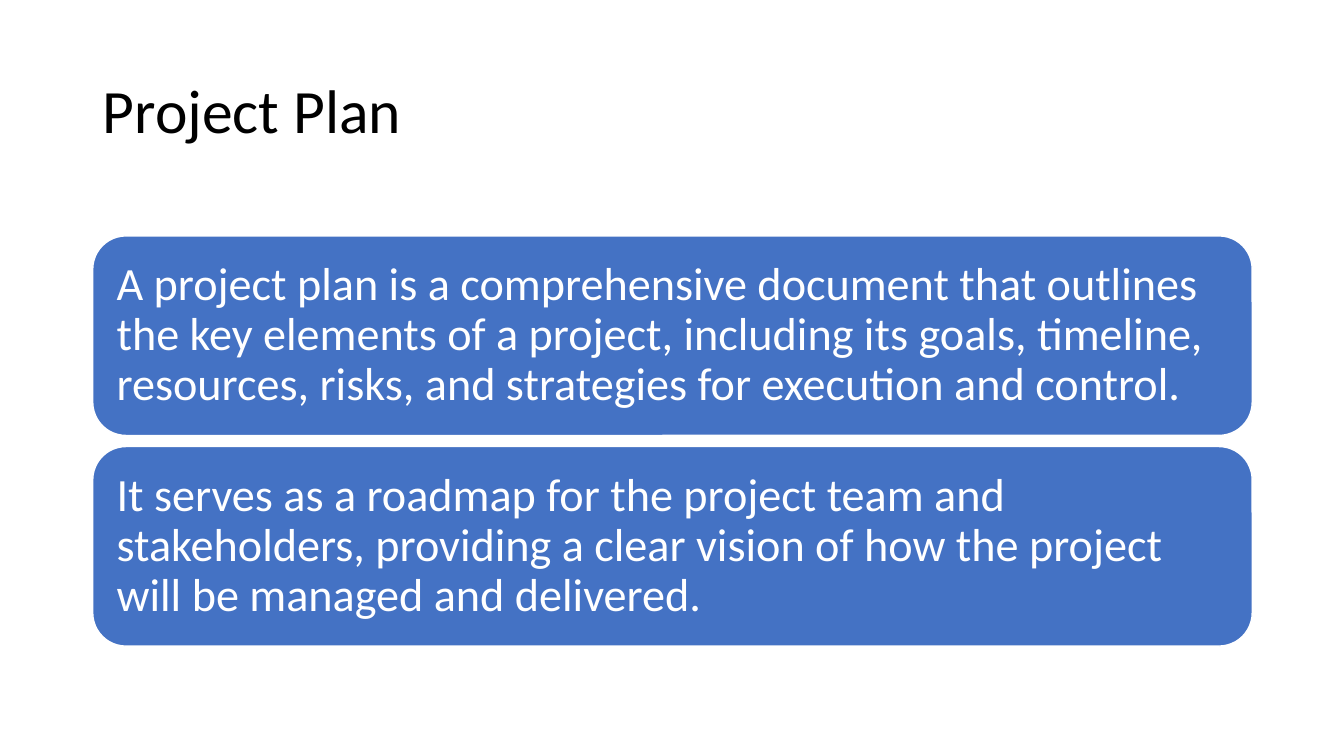
from pptx import Presentation
from pptx.dml.color import RGBColor
from pptx.enum.shapes import MSO_SHAPE
from pptx.enum.text import MSO_ANCHOR, PP_ALIGN
from pptx.util import Inches, Pt

ROUNDED = MSO_SHAPE.ROUNDED_RECTANGLE
MIDDLE = MSO_ANCHOR.MIDDLE
LEFT = PP_ALIGN.LEFT

# Content
TITLE = "Project Plan"
STATEMENTS = [
    "A project plan is a comprehensive document that outlines the key elements "
    "of a project, including its goals, timeline, resources, risks, and "
    "strategies for execution and control.",
    "It serves as a roadmap for the project team and stakeholders, providing a "
    "clear vision of how the project will be managed and delivered.",
]

# Style and layout, in inches
FONT = "Calibri"
BLACK = RGBColor(0x00, 0x00, 0x00)
WHITE = RGBColor(0xFF, 0xFF, 0xFF)
BLUE = RGBColor(0x44, 0x72, 0xC4)
MARGIN, WIDTH = 0.92, 11.5
CARD_TOP, CARD_HEIGHT, CARD_PITCH = 2.34, 1.98, 2.09
CARD_INSET = 0.14


def write(tf, text, size, color):
    tf.word_wrap = True
    tf.vertical_anchor = MIDDLE
    p = tf.paragraphs[0]
    p.text = text
    p.alignment = LEFT
    p.line_spacing = 0.9
    p.font.name = FONT
    p.font.size = Pt(size)
    p.font.color.rgb = color


prs = Presentation()
prs.slide_width, prs.slide_height = Inches(13.33), Inches(7.5)
s = prs.slides.add_slide(prs.slide_layouts[5])

# Title
title = s.shapes.title
title.left, title.top = Inches(MARGIN), Inches(0.4)
title.width, title.height = Inches(WIDTH), Inches(1.45)
write(title.text_frame, TITLE, 44, BLACK)

# Statement cards
for i, statement in enumerate(STATEMENTS):
    card = s.shapes.add_shape(
        ROUNDED, Inches(MARGIN), Inches(CARD_TOP + i * CARD_PITCH),
        Inches(WIDTH), Inches(CARD_HEIGHT))
    card.shadow.inherit = False
    card.fill.solid()
    card.fill.fore_color.rgb = BLUE
    card.line.color.rgb = WHITE
    card.line.width = Pt(1)
    tf = card.text_frame
    tf.margin_left = tf.margin_right = Inches(CARD_INSET)
    tf.margin_top = tf.margin_bottom = Inches(CARD_INSET)
    write(tf, statement, 33, WHITE)

prs.save("out.pptx")
